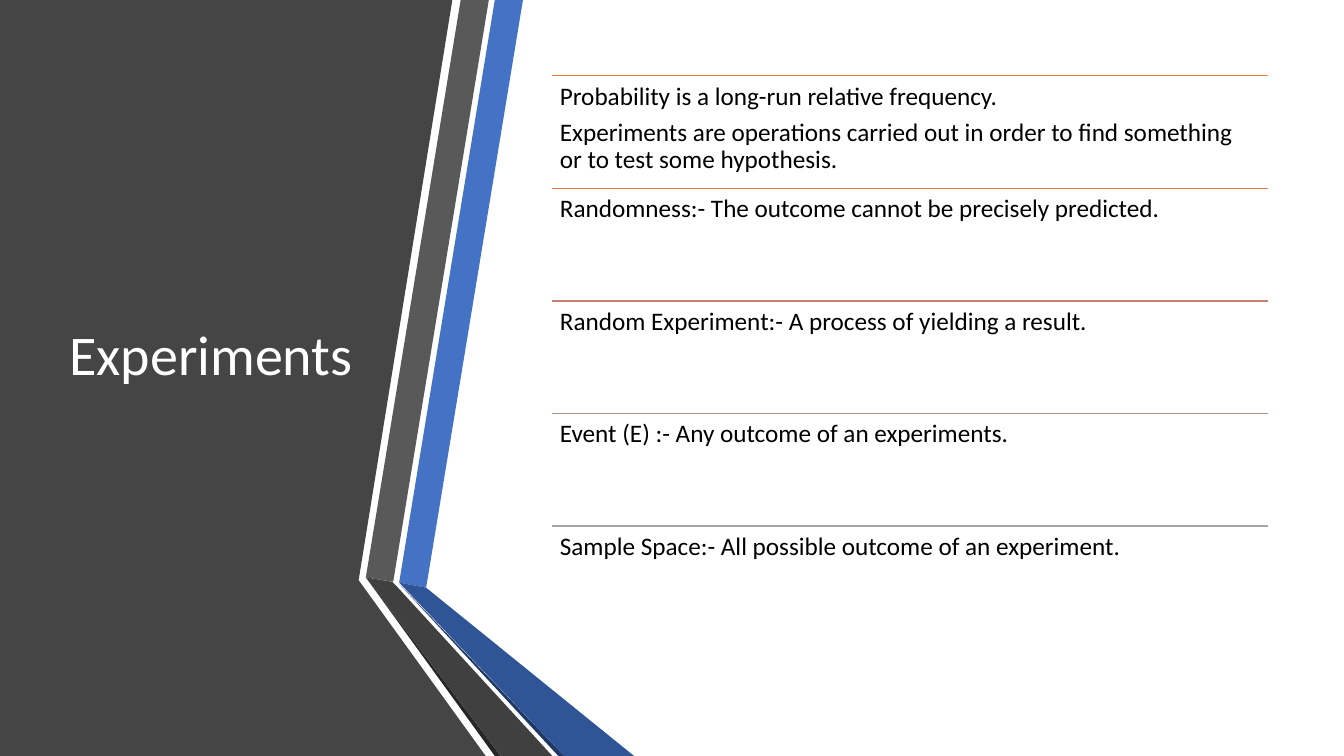
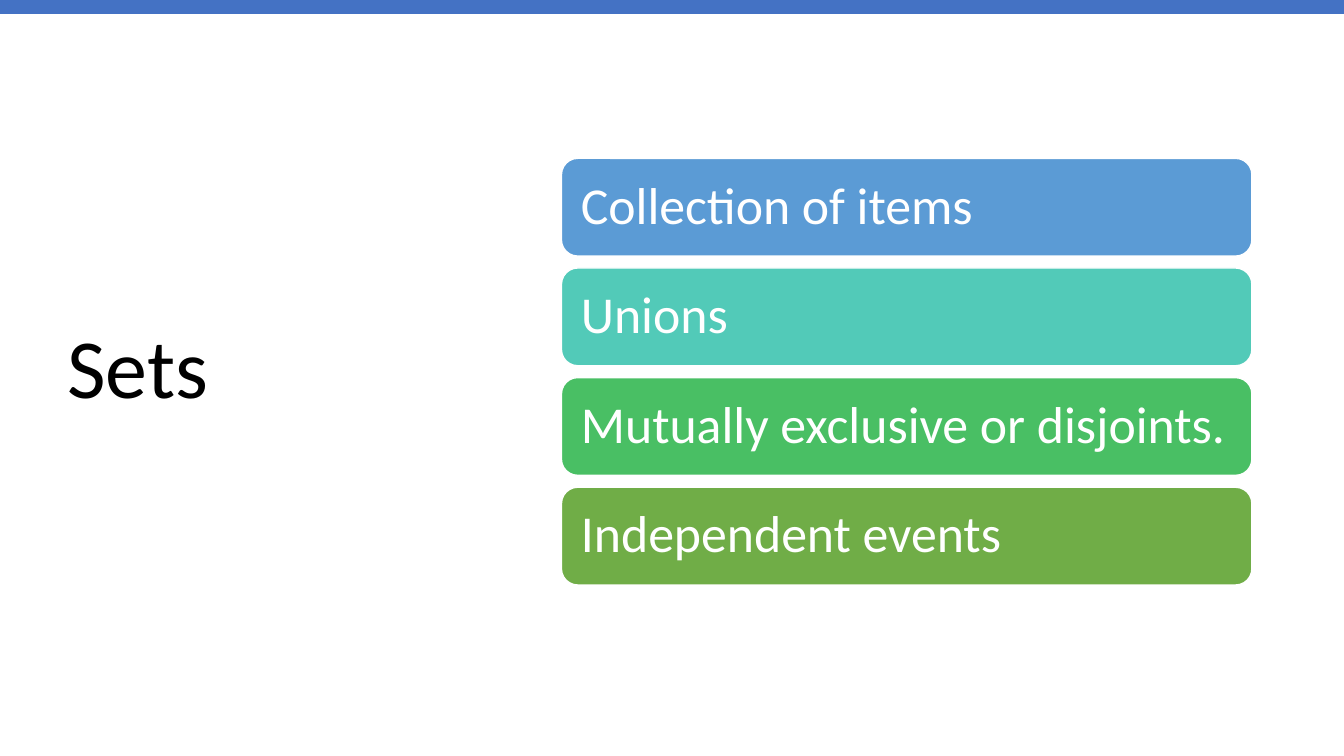
from pptx import Presentation
from pptx.dml.color import RGBColor
from pptx.enum.shapes import MSO_CONNECTOR, MSO_SHAPE
from pptx.enum.text import MSO_ANCHOR, PP_ALIGN
from pptx.oxml.ns import qn
from pptx.util import Cm, Pt
from lxml import etree

FONT = "Calibri"
WIDTH, HEIGHT = 33.87, 19.05

WHITE = RGBColor(0xFF, 0xFF, 0xFF)
BLACK = RGBColor(0x00, 0x00, 0x00)
BLUE = RGBColor(0x44, 0x72, 0xC4)
DEEP_BLUE = RGBColor(0x2F, 0x55, 0x97)
NAVY = RGBColor(0x20, 0x38, 0x64)
PANEL_GREY = RGBColor(0x45, 0x45, 0x45)
MID_GREY = RGBColor(0x59, 0x59, 0x59)
CHARCOAL = RGBColor(0x40, 0x40, 0x40)
SHADE = RGBColor(0x26, 0x26, 0x26)

# Panel and folded ribbons: colour and corners, in cm from the box corner
RIBBONS = [
    (PANEL_GREY, [(0, 0), (11.4, 0), (9.04, 14.62), (12.24, 19.05), (0, 19.05)]),
    (BLUE, [(10.06, 14.68), (10.74, 14.81), (13.18, 0), (12.47, 0)]),
    (MID_GREY, [(12.32, 0), (11.61, 0), (9.22, 14.55), (9.91, 14.66)]),
    (SHADE, [(9.22, 14.55), (12.47, 19.05), (12.62, 19.05)]),
    (NAVY, [(10.06, 14.71), (14.07, 19.05), (14.22, 19.05)]),
    (DEEP_BLUE, [(10.06, 14.68), (14.22, 19.05), (15.98, 19.05), (10.74, 14.81)]),
    (CHARCOAL, [(13.92, 19.05), (10.03, 14.81), (9.88, 14.66), (9.22, 14.55),
                (12.62, 19.05)]),
]

DEFINITIONS = [
    (RGBColor(0xED, 0x7D, 0x31), [
        "Probability is a long-run relative frequency.",
        "Experiments are operations carried out in order to find something "
        "or to test some hypothesis."]),
    (RGBColor(0xD8, 0x7A, 0x51),
     ["Randomness:- The outcome cannot be precisely predicted."]),
    (RGBColor(0xC4, 0x81, 0x70),
     ["Random Experiment:- A process of yielding a result."]),
    (RGBColor(0xB4, 0x90, 0x8B),
     ["Event (E) :- Any outcome of an experiments."]),
    (RGBColor(0xA5, 0xA5, 0xA5),
     ["Sample Space:- All possible outcome of an experiment."]),
]

SET_TOPICS = [
    (RGBColor(0x5B, 0x9B, 0xD5), "Collection of items"),
    (RGBColor(0x52, 0xCA, 0xB8), "Unions"),
    (RGBColor(0x49, 0xBF, 0x64), "Mutually exclusive or disjoints."),
    (RGBColor(0x70, 0xAD, 0x47), "Independent events"),
]


def paint(shape, fill, line=None):
    shape.shadow.inherit = False
    shape.fill.solid()
    shape.fill.fore_color.rgb = fill
    if line is None:
        shape.line.fill.background()
    else:
        shape.line.color.rgb = line
        shape.line.width = Pt(1)


def write(shape, lines, size, color, anchor, inset, space_after=0):
    tf = shape.text_frame
    tf.word_wrap = True
    tf.vertical_anchor = anchor
    tf.margin_left = tf.margin_right = Cm(inset)
    tf.margin_top = tf.margin_bottom = Cm(inset)
    tf.text = "\n".join(lines)
    for p in tf.paragraphs:
        p.alignment = PP_ALIGN.LEFT
        p.line_spacing = 0.9
        p.space_after = Pt(space_after)
        for r in p.runs:
            r.font.name = FONT
            r.font.size = Pt(size)
            r.font.color.rgb = color


def add_title(s, box, text, size, color):
    title = s.shapes.add_textbox(*map(Cm, box))
    write(title, [text], size, color, MSO_ANCHOR.MIDDLE, 0.25)


def add_ribbons(s, left, top):
    for color, corners in RIBBONS:
        points = [(Cm(left + x), Cm(top + y)) for x, y in corners]
        builder = s.shapes.build_freeform(*points[0], scale=1.0)
        builder.add_line_segments(points[1:], close=True)
        paint(builder.convert_to_shape(), color)


def add_definitions(s, box, rows):
    left, top, width, height = box
    row_height = height / len(rows)
    for i, (color, lines) in enumerate(rows):
        y = top + i * row_height
        # Rule above the row
        rule = s.shapes.add_connector(
            MSO_CONNECTOR.STRAIGHT, Cm(left), Cm(y), Cm(left + width), Cm(y))
        rule.line.color.rgb = color
        rule.line.width = Pt(1)
        etree.SubElement(rule._element.spPr, qn("a:effectLst"))
        # Row text
        tb = s.shapes.add_textbox(Cm(left), Cm(y), Cm(width), Cm(row_height))
        write(tb, lines, 18, BLACK, MSO_ANCHOR.TOP, 0.19, space_after=6.3)


def add_cards(s, box, cards, gap):
    left, top, width, height = box
    card_height = (height - gap * (len(cards) - 1)) / len(cards)
    for i, (color, text) in enumerate(cards):
        y = top + i * (card_height + gap)
        card = s.shapes.add_shape(MSO_SHAPE.ROUNDED_RECTANGLE, Cm(left), Cm(y),
                                  Cm(width), Cm(card_height))
        paint(card, color, WHITE)
        # The rounded corners add their own inset to this one
        write(card, [text], 37, WHITE, MSO_ANCHOR.MIDDLE, 0.37)


def add_top_band(s, height):
    band = s.shapes.add_shape(MSO_SHAPE.RECTANGLE, 0, 0, Cm(WIDTH), Cm(height))
    paint(band, BLUE)


def experiments_slide(s):
    add_ribbons(s, 0, 0)
    add_title(s, (1.5, 1.91, 7.72, 14.18), "Experiments", 40, WHITE)
    add_definitions(s, (13.92, 1.91, 18.03, 14.18), DEFINITIONS)


def sets_slide(s):
    add_title(s, (1.45, 1.72, 10.57, 15.29), "Sets", 60, BLACK)
    add_top_band(s, 0.35)
    add_cards(s, (14.15, 3.99, 17.4, 10.75), SET_TOPICS, gap=0.3)


prs = Presentation()
prs.slide_width, prs.slide_height = Cm(WIDTH), Cm(HEIGHT)
for build in (experiments_slide, sets_slide):
    build(prs.slides.add_slide(prs.slide_layouts[6]))
prs.save("out.pptx")
